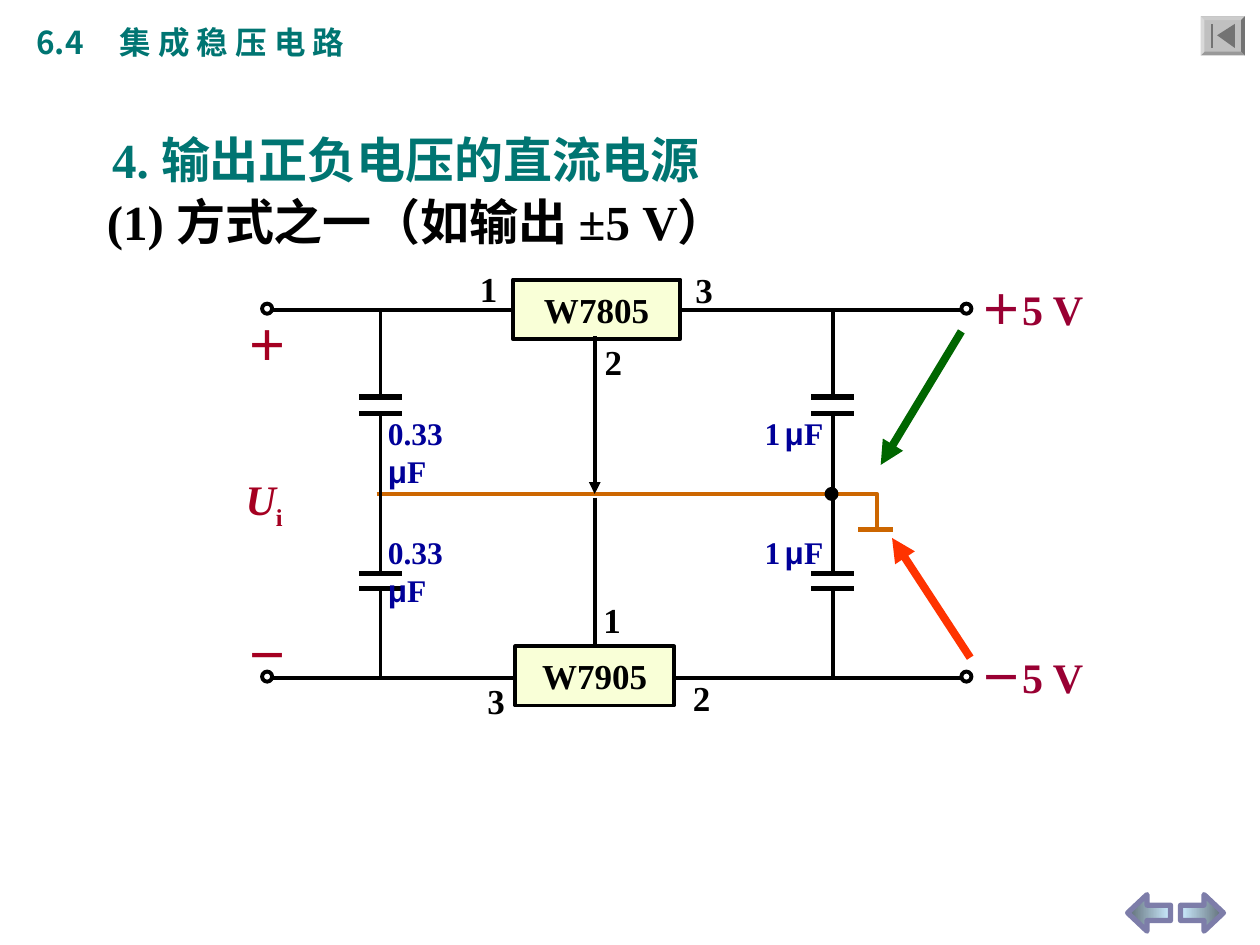
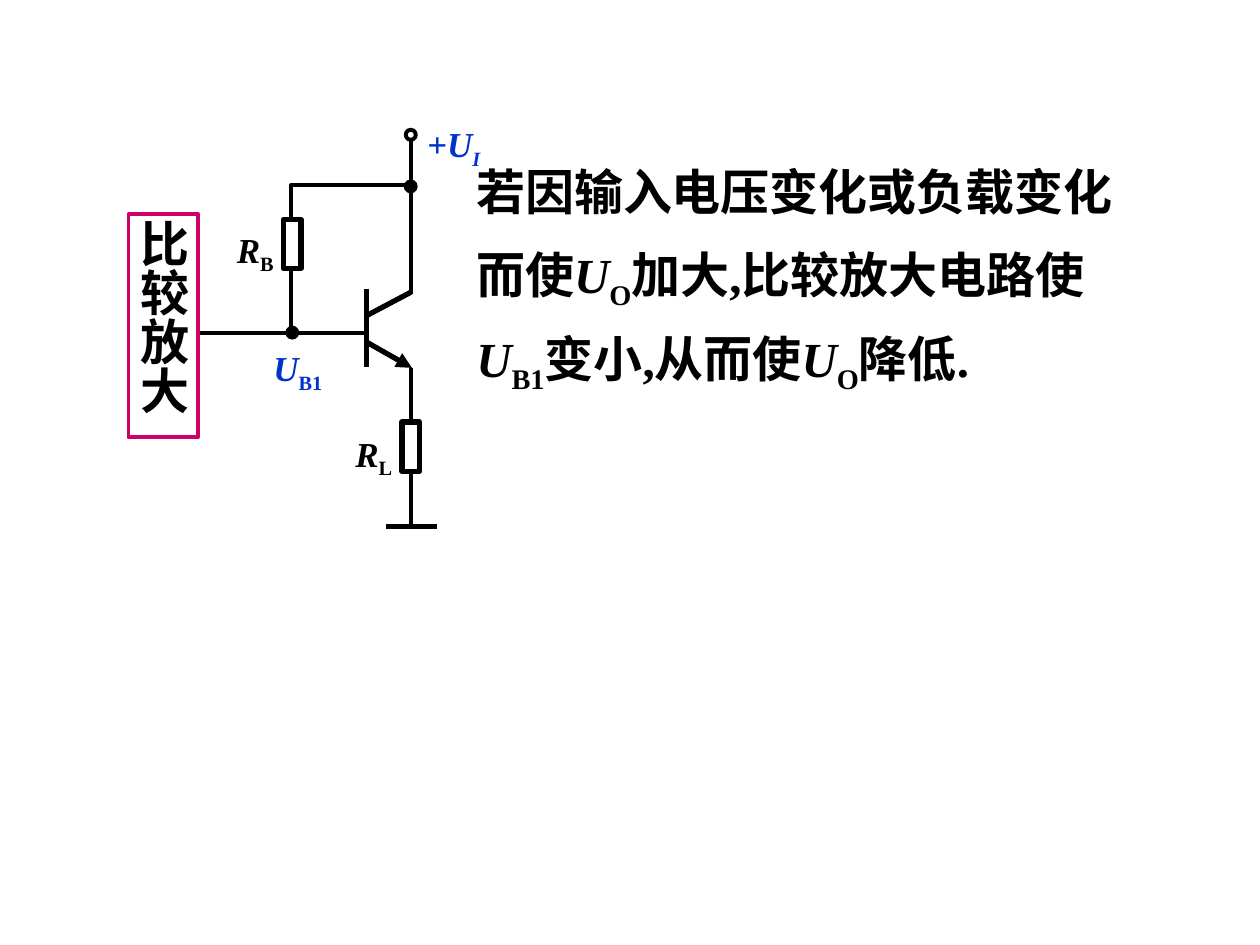
import pptx
import pptx.util
import pptx.dml.color
import pptx.enum.shapes
import pptx.enum.text
import pptx.oxml
import pptx.oxml.ns

PX = 9144  # EMU per px, 100 px to the inch
SERIF, SANS, HAN = "Times New Roman", "Arial", "Noto Sans CJK SC"
COLOURS = {
    "ink": "000000", "paper": "FFFFFF", "teal": "007572", "chip": "F9FFD7",
    "ground": "CC6600", "value": "000099", "output": "990033", "input": "A50021",
    "green": "006600", "red": "FF3300", "label": "0033CC", "frame": "CC0066",
    "nav_edge": "7D7DA9", "nav_dark": "5E6C75", "nav_light": "CCECFF",
    "button": "C0C0C0", "bevel_top": "CCCCCC", "bevel_left": "D9D9D9",
    "bevel_right": "737373", "bevel_bottom": "999999",
}
SHAPE = pptx.enum.shapes.MSO_SHAPE
ALIGN = pptx.enum.text.PP_ALIGN
ANCHOR = pptx.enum.text.MSO_ANCHOR


def rgb(name):
    return pptx.dml.color.RGBColor.from_string(COLOURS[name])


def px(*lengths):
    return [length * PX for length in lengths]


def add_element(parent, tag, **attributes):
    element = pptx.oxml.parse_xml(f"<a:{tag} {pptx.oxml.ns.nsdecls('a')}/>")
    for name, value in attributes.items():
        element.set(name, str(value))
    parent.append(element)
    return element


# Text
def format_span(span, size, colour, style="", face=SERIF):
    """Style words: i (italic), sub (subscript), sans, thin (narrow space)."""
    words = style.split()
    span.font.size = pptx.util.Pt(10 if "thin" in words else size)
    span.font.bold = True
    span.font.italic = "i" in words
    span.font.color.rgb = rgb(colour)
    span.font.name = SANS if "sans" in words else face
    properties = span._r.get_or_add_rPr()
    add_element(properties, "ea", typeface=HAN)
    if "sub" in words:
        properties.set("baseline", "-25000")


def fill_paragraph(para, content, size, colour, face=SERIF):
    """Content is a string or a list of (text, style) pairs."""
    if isinstance(content, str):
        content = [(content, "")]
    for text, style in content:
        span = para.add_run()
        span.text = text
        format_span(span, size, colour, style, face)


def set_frame(frame, insets=(10, 5), anchor=ANCHOR.TOP):
    frame.word_wrap = True
    frame.auto_size = pptx.enum.text.MSO_AUTO_SIZE.NONE
    frame.vertical_anchor = anchor
    frame.margin_left = frame.margin_right = insets[0] * PX
    frame.margin_top = frame.margin_bottom = insets[1] * PX


def add_text(page, content, area, size=20, colour="ink", insets=(10, 5),
             align=ALIGN.LEFT, face=SERIF):
    box = page.shapes.add_textbox(*px(*area))
    set_frame(box.text_frame, insets)
    para = box.text_frame.paragraphs[0]
    para.alignment = align
    fill_paragraph(para, content, size, colour, face)
    return para


def add_symbol(page, letter, index, left, top, colour="ink", size=20, style="sub"):
    add_text(page, [(letter, "i"), (index, style)], (left, top, 70, 38),
             size, colour, insets=(0, 0))


def place(holder, area):
    holder.left, holder.top, holder.width, holder.height = px(*area)


# Lines and shapes
def add_wire(page, start, end, width=2.25, colour="ink", arrow=False):
    wire = page.shapes.add_connector(
        pptx.enum.shapes.MSO_CONNECTOR.STRAIGHT, *px(*start, *end))
    wire.line.width = pptx.util.Pt(width)
    wire.line.color.rgb = rgb(colour)
    if arrow:
        add_element(wire.line._get_or_add_ln(), "tailEnd", type="triangle")
    add_element(wire._element.spPr, "effectLst")


def paint(shape, fill=None, line=None, width=2.25):
    shape.shadow.inherit = False
    if fill:
        shape.fill.solid()
        shape.fill.fore_color.rgb = rgb(fill)
    else:
        shape.fill.background()
    if line:
        shape.line.color.rgb = rgb(line)
        shape.line.width = pptx.util.Pt(width)
    else:
        shape.line.fill.background()


def add_preset(page, kind, area, fill=None, line="ink", width=2.25):
    shape = page.shapes.add_shape(kind, *px(*area))
    paint(shape, fill, line, width)
    return shape


def add_outline(page, points, fill=None, line=None):
    builder = page.shapes.build_freeform(*points[0], scale=PX)
    builder.add_line_segments(points[1:], close=fill is not None)
    paint(builder.convert_to_shape(), fill, line)


def add_dot(page, x, y, diameter=8, fill="paper", width=2.25):
    radius = diameter // 2
    add_preset(page, SHAPE.OVAL, (x - radius, y - radius, diameter, diameter),
               fill, width=width)


def add_boxed_text(page, text, area, size, fill, line, insets=(10, 5)):
    box = add_preset(page, SHAPE.RECTANGLE, area, fill, line)
    set_frame(box.text_frame, insets, ANCHOR.MIDDLE)
    para = box.text_frame.paragraphs[0]
    para.alignment = ALIGN.CENTER
    fill_paragraph(para, text, size, "ink")
    return box


# Navigation
def add_nav_arrow(page, kind, left, angle):
    arrow = add_preset(page, kind, (left, 710, 34, 29), line="nav_edge", width=3)
    arrow.adjustments[0], arrow.adjustments[1] = 0.42, 0.53
    arrow.fill.gradient()
    arrow.fill.gradient_angle = angle
    for stop, colour in zip(arrow.fill.gradient_stops, ("nav_dark", "nav_light")):
        stop.color.rgb = rgb(colour)


def add_back_button(page):
    outer = [(953, 13), (988, 13), (988, 44), (953, 44)]
    inner = [(956, 16), (985, 16), (985, 41), (956, 41)]
    add_outline(page, outer, "button")
    for side, edge in enumerate(("top", "right", "bottom", "left")):
        following = (side + 1) % 4
        add_outline(page, [outer[side], outer[following], inner[following],
                           inner[side]], f"bevel_{edge}")
    add_outline(page, [(966, 28), (980, 19), (980, 38)], "bevel_right")
    add_outline(page, [(961, 19), (963, 19), (963, 38), (961, 38)], "bevel_right")


# Circuit parts
def add_capacitor_column(page, x):
    for start, end in ((246, 315), (328, 455), (467, 538)):
        add_wire(page, (x, start), (x, end))
    for y in (315, 328, 455, 467):
        add_wire(page, (x - 17, y), (x + 17, y), 3)


def add_capacitance(page, value, left, top, width):
    add_text(page, [(value, ""), (" ", "thin"), ("μ", "sans"), ("F", "")],
             (left, top, width, 40), 18, "value")


def build_dual_supply(deck):
    page = deck.slides.add_slide(deck.slide_layouts[5])

    # Headings
    para = add_text(page, "6.4\t集 成 稳 压 电 路", (19, 13, 281, 40), 18, "teal", face=HAN)
    tabs = add_element(para._p.get_or_add_pPr(), "tabLst")
    add_element(tabs, "tab", pos=66 * PX, algn="l")
    title = page.shapes.title
    place(title, (79, 98, 734, 57))
    set_frame(title.text_frame)
    title.text_frame.text = "4. 输出正负电压的直流电源"
    heading = title.text_frame.paragraphs[0]
    heading.alignment = ALIGN.LEFT
    format_span(heading.runs[0], 28, "teal")
    add_text(page, "(1) 方式之一（如输出 ±5 V）", (75, 147, 734, 57), 28)

    # Rails and ground
    add_outline(page, [(299, 392), (696, 392), (696, 419)], line="ground")
    add_wire(page, (681, 420), (709, 420), 3, "ground")
    for y in (246, 538):
        add_wire(page, (213, y), (764, y))
        for x in (212, 767):
            add_dot(page, x, y - 1)
    for x in (302, 661):
        add_capacitor_column(page, x)
    add_dot(page, 660, 392, fill="ink")

    # Regulators and their pins
    add_boxed_text(page, "W7805", (407, 222, 133, 47), 20, "chip", "ink")
    add_wire(page, (472, 267), (472, 392), arrow=True)
    add_wire(page, (472, 395), (472, 513))
    add_boxed_text(page, "W7905", (409, 513, 126, 47), 20, "chip", "ink")
    for pin, left, top in (("1", 371, 207), ("3", 542, 208), ("2", 470, 265),
                           ("1", 469, 470), ("2", 540, 532), ("3", 377, 534)):
        add_text(page, pin, (left, top, 41, 44))

    # Values and terminal labels
    for top in (324, 418):
        add_capacitance(page, "0.33", 298, top, 85)
        add_capacitance(page, "1", 597, top, 80)
    for sign, output_top, input_top in (("＋", 220, 249), ("－", 512, 495)):
        add_text(page, f"{sign}5 V", (768, output_top, 136, 50), 24, "output")
        add_text(page, sign, (185, input_top, 54, 50), 24, "input", align=ALIGN.CENTER)
    add_symbol(page, "U", "i", 195, 376, "input", 24)

    # Pointers to the common ground
    add_wire(page, (763, 263), (699, 369), 4.5, "green", arrow=True)
    add_wire(page, (770, 522), (708, 427), 4.5, "red", arrow=True)

    add_back_button(page)
    add_nav_arrow(page, SHAPE.LEFT_ARROW, 895, 0)
    add_nav_arrow(page, SHAPE.RIGHT_ARROW, 937, 180)


def build_regulation(deck):
    page = deck.slides.add_slide(deck.slide_layouts[1])
    title = page.shapes.title
    title._element.getparent().remove(title._element)

    # Explanation
    body = page.placeholders[1]
    place(body, (378, 137, 547, 171))
    set_frame(body.text_frame, (0, 0), ANCHOR.MIDDLE)
    sentences = [
        "若因输入电压变化或负载变化",
        [("而使", ""), ("U", "i"), ("O", "sub"), ("加大,比较放大电路使", "")],
        [("U", "i"), ("B1", "sub"), ("变小,从而使", ""), ("U", "i"), ("O", "sub"),
         ("降低.", "")],
    ]
    for number, sentence in enumerate(sentences):
        para = body.text_frame.add_paragraph() if number else body.text_frame.paragraphs[0]
        properties = para._p.get_or_add_pPr()
        properties.set("marL", "0")
        properties.set("indent", "0")
        add_element(properties, "buNone")
        para.line_spacing = 0.8
        para.space_before = pptx.util.Pt(17.5 if number else 0)
        fill_paragraph(para, sentence, 28, "ink")

    # Wires, transistor and ground
    add_outline(page, [(231, 261), (231, 147), (326, 147)], line="ink")
    for start, end in (((326, 292), (326, 418)), ((326, 233), (326, 111)),
                       ((290, 264), (156, 264))):
        add_wire(page, start, end)
    for start, end in (((291, 229), (291, 291)), ((290, 251), (326, 232)),
                       ((306, 418), (347, 418))):
        add_wire(page, start, end, 3)
    add_wire(page, (290, 271), (327, 292), 3, arrow=True)

    # Resistors, terminal and junctions
    for left, top in ((225, 174), (319, 335)):
        add_preset(page, SHAPE.RECTANGLE, (left, top, 14, 39), "paper", width=3)
    add_dot(page, 326, 107)
    for x, y in ((232, 264), (326, 148)):
        add_dot(page, x, y, 10, "ink", 0.75)

    # Labels
    add_symbol(page, "R", "B", 188, 181)
    add_symbol(page, "R", "L", 282, 343)
    add_symbol(page, "U", "B1", 217, 275, "label")
    add_symbol(page, "+U", "I", 339, 97, "label", style="i sub")
    amplifier = add_boxed_text(page, "比较放大", (102, 170, 55, 177), 28, None,
                               "frame", insets=(4, 4))
    amplifier.text_frame._txBody.bodyPr.set("vert", "eaVert")


def main():
    deck = pptx.Presentation()
    deck.slide_width, deck.slide_height = px(1000, 750)
    build_dual_supply(deck)
    build_regulation(deck)
    deck.save("out.pptx")


if __name__ == "__main__":
    main()
